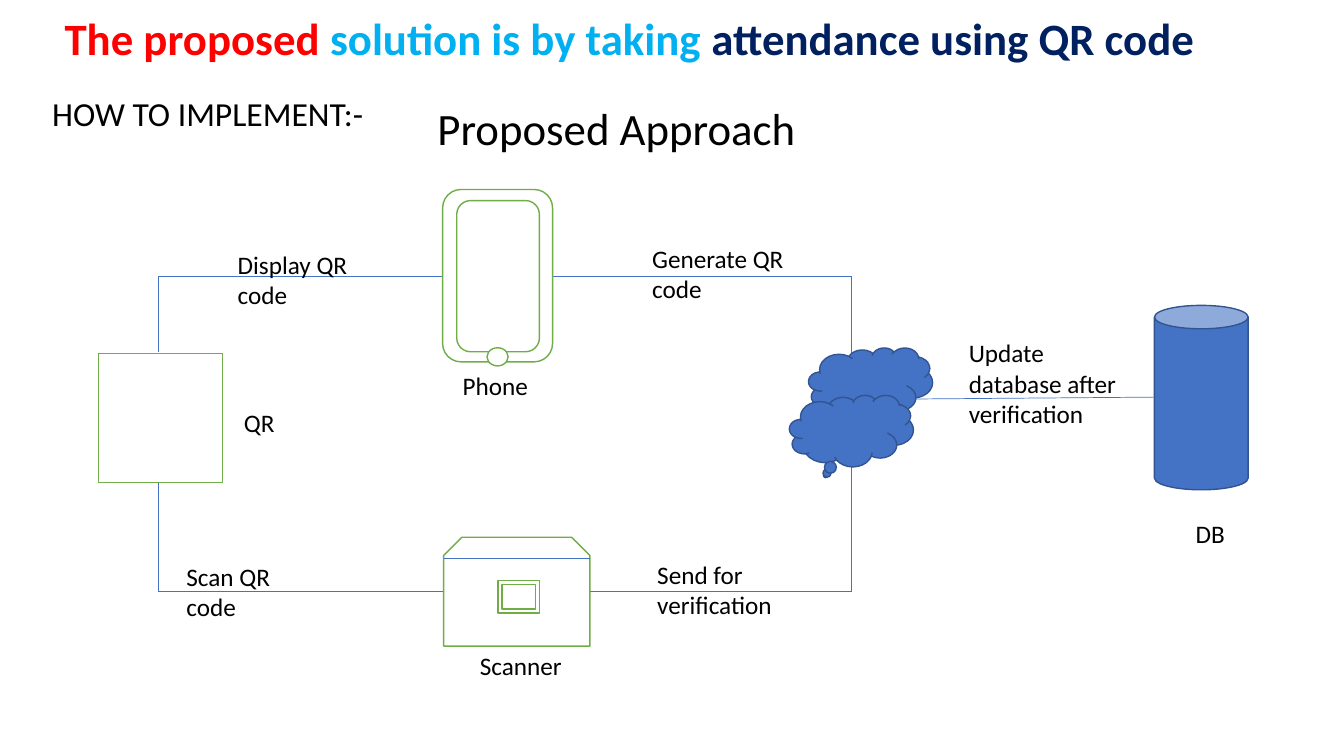
"""Build the slide on taking attendance with QR codes."""
from lxml.etree import SubElement
from pptx import Presentation
from pptx.dml.color import RGBColor
from pptx.enum.shapes import MSO_CONNECTOR, MSO_SHAPE
from pptx.enum.text import MSO_ANCHOR, MSO_AUTO_SIZE, PP_ALIGN
from pptx.oxml.ns import qn
from pptx.util import Inches, Pt

BLACK, WHITE, GREEN, BLUE, NAVY = "000000", "FFFFFF", "70AD47", "4472C4", "325491"

HEADLINE = [
    ("The proposed ", "FF0000"),
    ("solution is by taking ", "00B0F0"),
    ("attendance using QR code", "002060"),
]
HEADLINE_BOX = (0.54, 0.06, 12.6, 0.64)

LABELS = [
    (["HOW TO IMPLEMENT:-"], (0.42, 0.87, 3.8, 0.5), 24),
    (["Proposed Approach"], (4.24, 0.95, 6.97, 0.64), 32),
    (["Display QR", "code"], (2.26, 2.42, 1.94, 0.71), 18),
    (["Generate QR code"], (6.37, 2.36, 1.86, 0.71), 18),
    (["Update database after verification"], (9.51, 3.3, 1.68, 1.01), 18),
    (["Scan QR", "code"], (1.75, 5.52, 2.38, 0.71), 18),
    (["Send for", "verification"], (6.42, 5.5, 2.38, 0.71), 18),
    (["Phone"], (4.49, 3.62, 2.38, 0.4), 18),
    (["QR"], (2.32, 3.99, 2.38, 0.4), 18),
    (["Scanner"], (4.66, 6.4, 2.38, 0.4), 18),
    (["DB"], (11.76, 5.09, 1.4, 0.4), 18),
]

QR_X, CLOUD_X = 1.57, 8.44
DISPLAY_Y, SCAN_Y = 2.74, 5.87
LINKS = [
    (4.39, DISPLAY_Y, QR_X, DISPLAY_Y),
    (QR_X, 3.49, QR_X, DISPLAY_Y),
    (5.48, DISPLAY_Y, CLOUD_X, DISPLAY_Y),
    (CLOUD_X, DISPLAY_Y, CLOUD_X, 3.51),
    (8.87, 3.96, 11.45, 3.94),
    (CLOUD_X, SCAN_Y, 5.85, SCAN_Y),
    (4.4, SCAN_Y, QR_X, SCAN_Y),
    (QR_X, SCAN_Y, QR_X, 4.79),
    (CLOUD_X, 4.62, CLOUD_X, SCAN_Y),
]
SCANNER_LID = (5.85, 5.54, 4.4, 5.54)

PHONE = [
    (MSO_SHAPE.ROUNDED_RECTANGLE, (4.39, 1.88, 1.09, 1.71)),
    (MSO_SHAPE.ROUNDED_RECTANGLE, (4.53, 1.99, 0.82, 1.5)),
    (MSO_SHAPE.OVAL, (4.83, 3.45, 0.21, 0.18)),
]
SERVERS = [
    (MSO_SHAPE.CLOUD_CALLOUT, (8.02, 3.45, 1.23, 0.71)),
    (MSO_SHAPE.CLOUD_CALLOUT, (7.83, 3.92, 1.23, 0.71)),
    (MSO_SHAPE.CAN, (11.45, 3.03, 0.93, 1.83)),
]
SCANNER = [
    (MSO_SHAPE.SNIP_2_SAME_RECTANGLE, (4.4, 5.33, 1.45, 1.08)),
    (MSO_SHAPE.FRAME, (4.94, 5.76, 0.41, 0.32)),
]
CARD = [(MSO_SHAPE.RECTANGLE, (0.98, 3.51, 1.23, 1.28))]

DRAWING = [
    (PHONE, WHITE, GREEN),
    (SERVERS, BLUE, NAVY),
    (CARD, WHITE, GREEN),
    (SCANNER, WHITE, GREEN),
]


def rgb(color):
    return RGBColor.from_string(color)


def inches(values):
    return [Inches(value) for value in values]


def add_run(paragraph, text, size, color, bold=False):
    run = paragraph.add_run()
    run.text = text
    run.font.name = "Calibri"
    run.font.size = Pt(size)
    run.font.bold = bold
    run.font.color.rgb = rgb(color)


def add_headline(slide):
    title = slide.shapes.title
    title.left, title.top, title.width, title.height = inches(HEADLINE_BOX)
    frame = title.text_frame
    frame.word_wrap = True
    frame.auto_size = MSO_AUTO_SIZE.SHAPE_TO_FIT_TEXT
    frame.vertical_anchor = MSO_ANCHOR.TOP
    paragraph = frame.paragraphs[0]
    paragraph.alignment = PP_ALIGN.LEFT
    for text, color in HEADLINE:
        add_run(paragraph, text, 32, color, bold=True)


def add_label(slide, lines, box, size):
    frame = slide.shapes.add_textbox(*inches(box)).text_frame
    frame.word_wrap = True
    frame.auto_size = MSO_AUTO_SIZE.SHAPE_TO_FIT_TEXT
    for i, line in enumerate(lines):
        paragraph = frame.add_paragraph() if i else frame.paragraphs[0]
        add_run(paragraph, line, size, BLACK)


def add_link(slide, ends):
    link = slide.shapes.add_connector(MSO_CONNECTOR.STRAIGHT, *inches(ends))
    link.line.color.rgb = rgb(BLUE)
    link.line.width = Pt(0.5)
    SubElement(link._element.spPr, qn("a:effectLst"))


def add_part(slide, kind, box, fill, outline):
    part = slide.shapes.add_shape(kind, *inches(box))
    part.shadow.inherit = False
    part.fill.solid()
    part.fill.fore_color.rgb = rgb(fill)
    part.line.color.rgb = rgb(outline)
    part.line.width = Pt(1)


def main():
    deck = Presentation()
    deck.slide_width, deck.slide_height = Inches(13.33), Inches(7.5)
    slide = deck.slides.add_slide(deck.slide_layouts[5])
    add_headline(slide)
    for ends in LINKS:
        add_link(slide, ends)
    for parts, fill, outline in DRAWING:
        for kind, box in parts:
            add_part(slide, kind, box, fill, outline)
    add_link(slide, SCANNER_LID)
    for lines, box, size in LABELS:
        add_label(slide, lines, box, size)
    deck.save("out.pptx")


if __name__ == "__main__":
    main()
